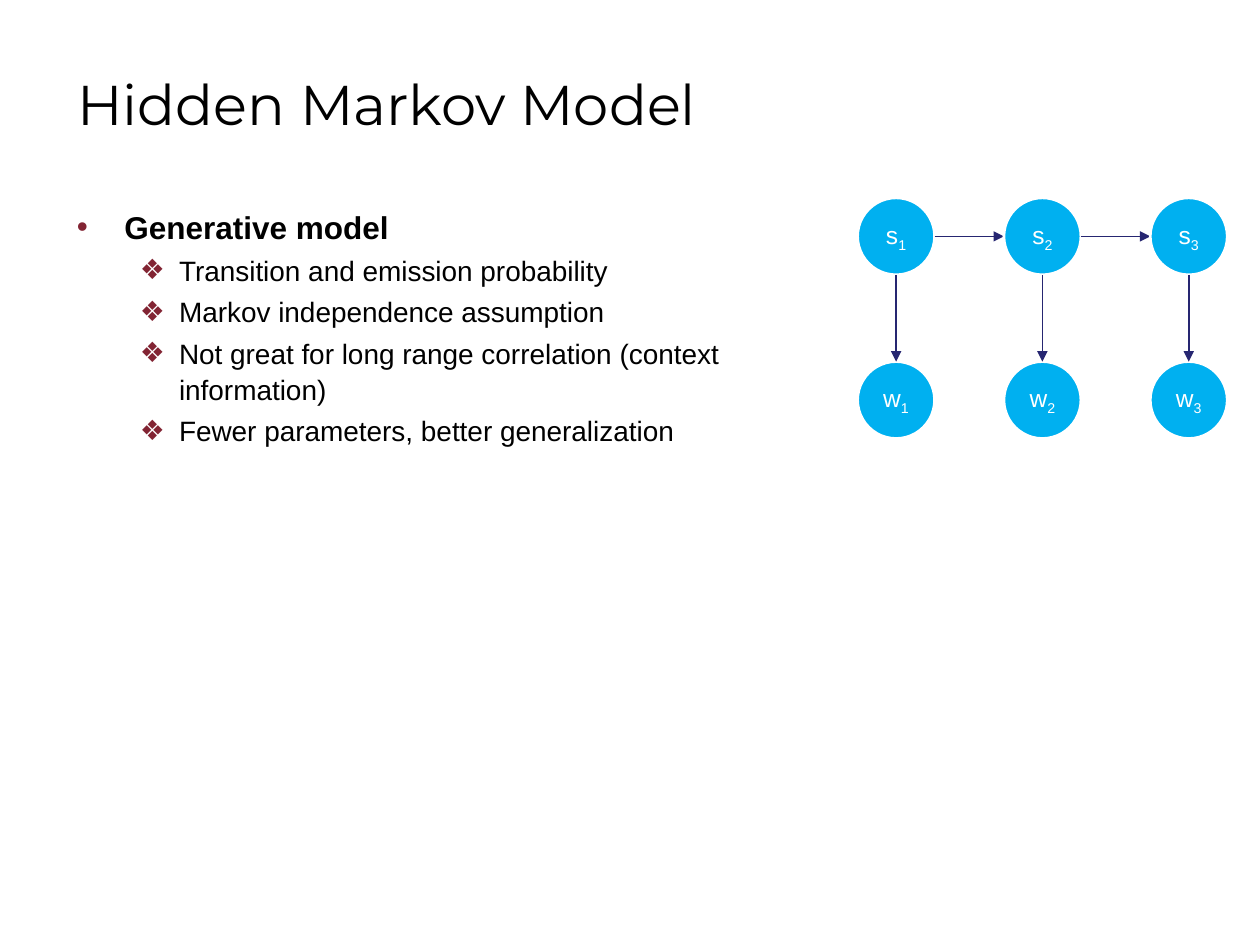
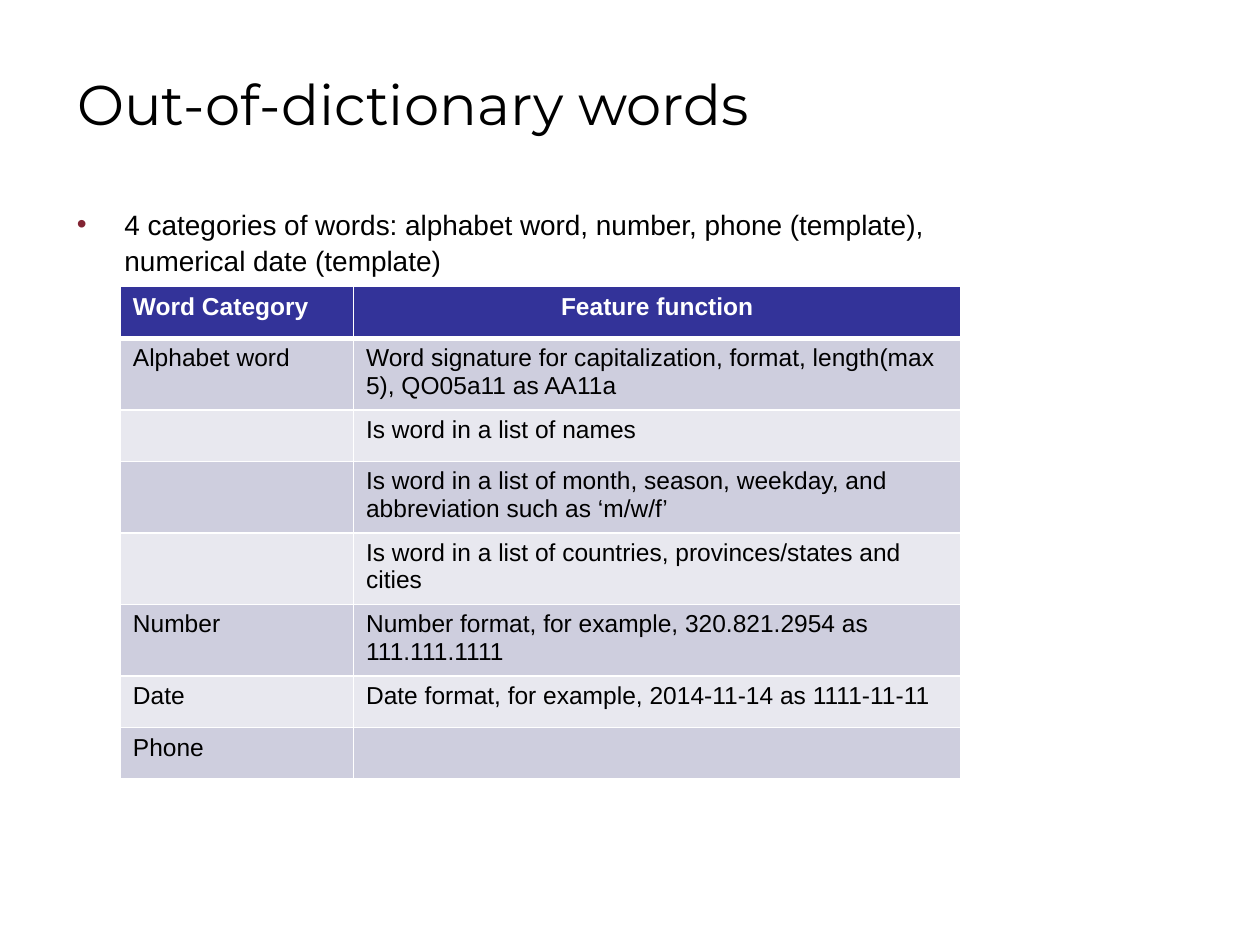
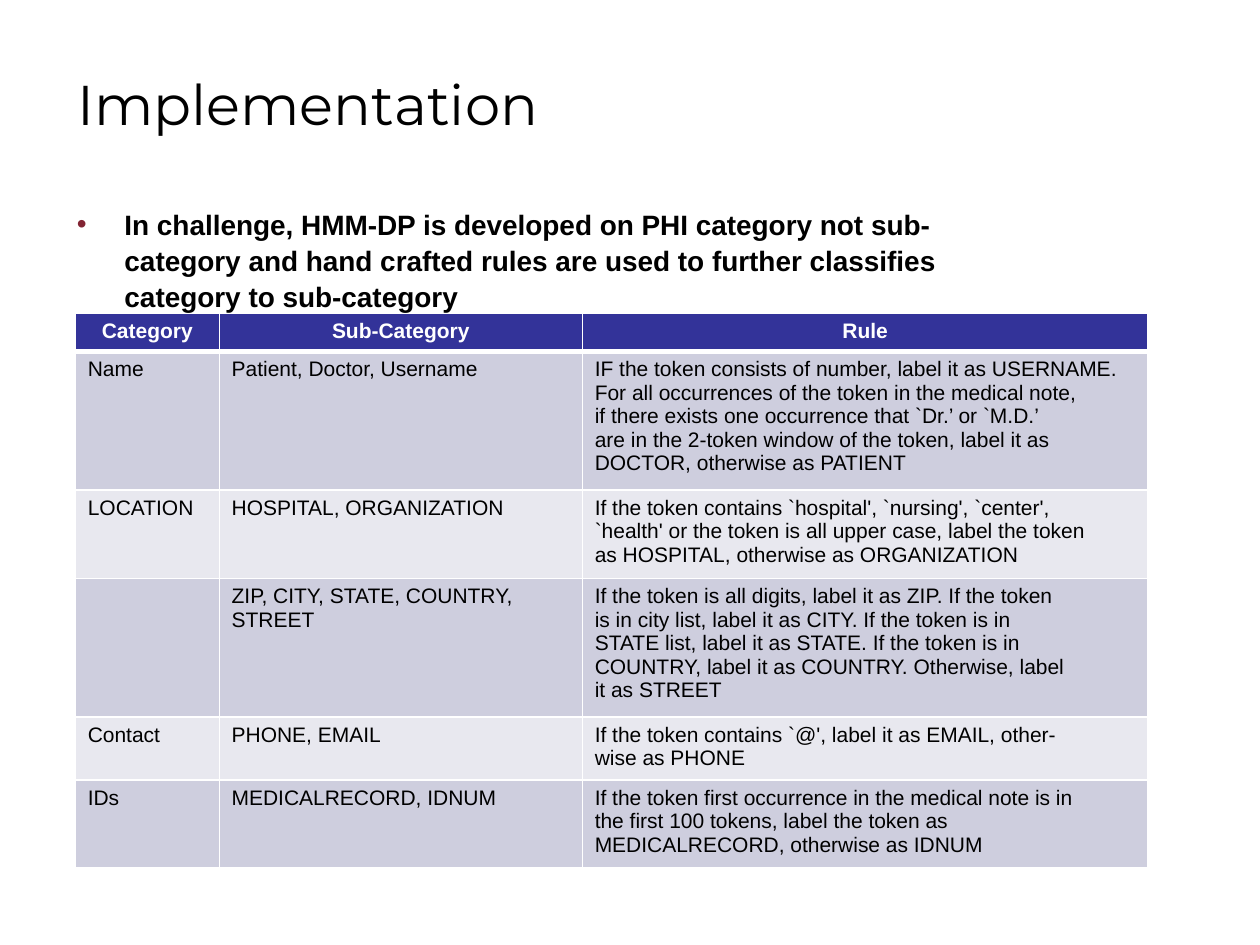
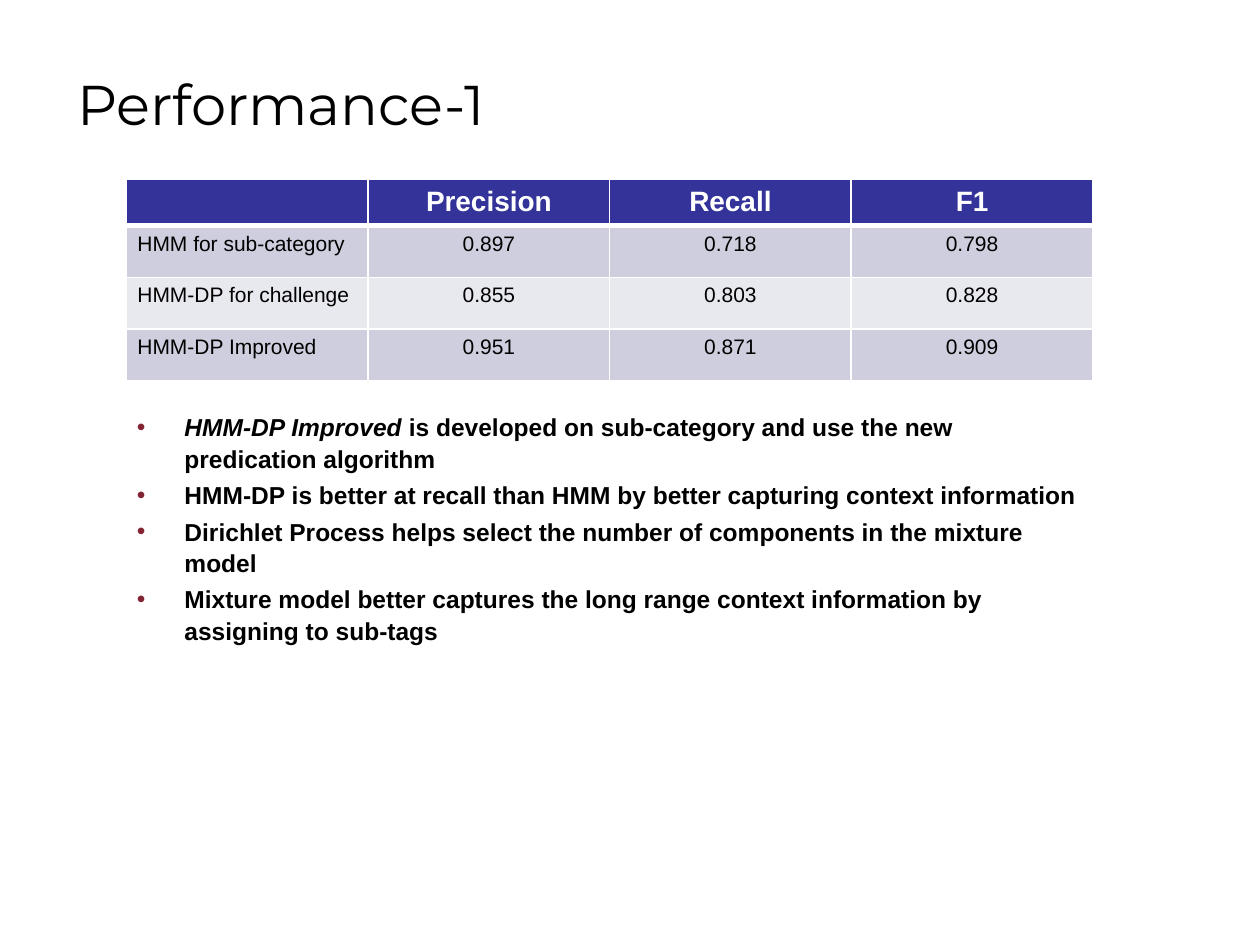
"""Build four slides on tagging medical notes with a hidden Markov model."""
from lxml.etree import SubElement
from pptx import Presentation
from pptx.dml.color import RGBColor
from pptx.enum.shapes import MSO_CONNECTOR, MSO_SHAPE
from pptx.enum.text import MSO_ANCHOR, MSO_AUTO_SIZE, PP_ALIGN
from pptx.oxml.ns import qn
from pptx.util import Cm, Pt

COLORS = {
    "text": "000000", "white": "FFFFFF", "bullet": "822433", "header": "333399",
    "odd": "CECEDE", "even": "E8E8EF", "node": "00B0F0", "arrow": "262671",
}
BODY_FONT, TITLE_FONT = "Arial", "Montserrat"
ALIGNMENTS = {"l": PP_ALIGN.LEFT, "c": PP_ALIGN.CENTER}
BULLETS = {"•": (0, 0.96, 0.96), "❖": (1, 2.06, 0.79)}

SLIDES = [
    {
        "title": "Hidden Markov Model",
        "body": {
            "at": (1.3, 4.01, 15.34, 12.24),
            "points": [
                ("•", 18, True, ["Generative model"]),
                ("❖", 16, False, ["Transition and emission probability"]),
                ("❖", 16, False, ["Markov independence assumption"]),
                ("❖", 16, False, ["Not great for long range correlation (context information)"]),
                ("❖", 16, False, ["Fewer parameters, better generalization"]),
            ],
        },
        "chain": {"states": "s", "words": "w", "steps": 3},
    },
    {
        "title": "Out-of-dictionary words",
        "body": {
            "at": (1.3, 4.01, 19.48, 12.34),
            "points": [("•", 16, False, [
                "4 categories of words: alphabet word, number, phone (template), "
                "numerical date (template)"])],
        },
        "table": {
            "at": (2.43, 5.78), "widths": (4.7, 12.24), "header_height": 1.04,
            "sizes": (14, 14), "aligns": ("lc", "ll"), "margin": 0.25,
            "rows": [
                ("Word Category", "Feature function"),
                ("Alphabet word", "Word signature for capitalization, format, length(max 5), "
                                  "QO05a11 as AA11a"),
                ("", "Is word in a list of names"),
                ("", "Is word in a list of month, season, weekday, and abbreviation "
                     "such as ‘m/w/f’"),
                ("", "Is word in a list of countries, provinces/states and cities"),
                ("Number", "Number format, for example, 320.821.2954 as 111.111.1111"),
                ("Date", "Date format, for example, 2014-11-14 as 1111-11-11"),
                ("Phone", ""),
            ],
        },
    },
    {
        "title": "Implementation",
        "body": {
            "at": (1.3, 4.01, 19.48, 12.12),
            "points": [("•", 16, True, [
                "In challenge, HMM-DP is developed on PHI category not sub-category and hand "
                "crafted rules are used to further classifies category to sub-category"])],
        },
        "table": {
            "at": (1.52, 6.32), "widths": (2.9, 7.32, 11.4), "header_height": 0.76,
            "sizes": (12, 12), "aligns": ("ccc", "lll"), "margin": 0.25,
            "rows": [
                ("Category", "Sub-Category", "Rule"),
                ("Name", "Patient, Doctor, Username",
                 "IF the token consists of number, label it as USERNAME.\n"
                 "For all occurrences of the token in the medical note,\n"
                 "if there exists one occurrence that `Dr.’ or `M.D.’\n"
                 "are in the 2-token window of the token, label it as\n"
                 "DOCTOR, otherwise as PATIENT"),
                ("LOCATION", "HOSPITAL, ORGANIZATION",
                 "If the token contains `hospital', `nursing', `center',\n"
                 "`health' or the token is all upper case, label the token\n"
                 "as HOSPITAL, otherwise as ORGANIZATION"),
                ("", "ZIP, CITY, STATE, COUNTRY, STREET",
                 "If the token is all digits, label it as ZIP. If the token\n"
                 "is in city list, label it as CITY. If the token is in\n"
                 "STATE list, label it as STATE. If the token is in\n"
                 "COUNTRY, label it as COUNTRY. Otherwise, label\n"
                 "it as STREET"),
                ("Contact", "PHONE, EMAIL",
                 "If the token contains `@', label it as EMAIL, other-\n"
                 "wise as PHONE"),
                ("IDs", "MEDICALRECORD, IDNUM",
                 "If the token first occurrence in the medical note is in\n"
                 "the first 100 tokens, label the token as MEDICALRECORD, otherwise as IDNUM"),
            ],
        },
    },
    {
        "title": "Performance-1",
        "body": {
            "at": (2.51, 8.15, 19.48, 7.01),
            "points": [
                ("•", 14, True, ["*HMM-DP Improved ", "is developed on sub-category and use "
                                 "the new predication algorithm"]),
                ("•", 14, True, ["HMM-DP is better at recall than HMM by better capturing "
                                 "context information"]),
                ("•", 14, True, ["Dirichlet Process helps select the number of components "
                                 "in the mixture model"]),
                ("•", 14, True, ["Mixture model better captures the long range context "
                                 "information by assigning to sub-tags"]),
            ],
        },
        "table": {
            "at": (2.55, 3.62), "widths": (4.87,) * 4, "header_height": 0.84,
            "sizes": (16, 12), "aligns": ("cccc", "lccc"), "margin": 0.22,
            "rows": [
                ("", "Precision", "Recall", "F1"),
                ("HMM for sub-category", "0.897", "0.718", "0.798"),
                ("HMM-DP for challenge", "0.855", "0.803", "0.828"),
                ("HMM-DP Improved", "0.951", "0.871", "0.909"),
            ],
        },
    },
]


def rgb(name):
    return RGBColor.from_string(COLORS[name])


def style(run, size, color="text", bold=False, face=BODY_FONT):
    run.font.size, run.font.bold, run.font.name = Pt(size), bold, face
    run.font.color.rgb = rgb(color)


def add_title(slide, wording):
    title = slide.shapes.title
    title.left, title.top, title.width, title.height = map(Cm, (1.3, 1.02, 19.46, 2.13))
    frame = title.text_frame
    frame.text = wording
    frame.auto_size, frame.vertical_anchor = MSO_AUTO_SIZE.NONE, MSO_ANCHOR.MIDDLE
    frame.paragraphs[0].alignment = PP_ALIGN.LEFT
    style(frame.paragraphs[0].runs[0], 32, face=TITLE_FONT)


def set_bullet(paragraph, glyph):
    level, margin, hanging = BULLETS[glyph]
    paragraph.level = level
    properties = paragraph._p.get_or_add_pPr()
    properties.set("marL", str(Cm(margin)))
    properties.set("indent", str(-Cm(hanging)))
    tint = SubElement(properties, qn("a:buClr"))
    SubElement(tint, qn("a:srgbClr"), val=COLORS["bullet"])
    SubElement(properties, qn("a:buFont"), typeface=BODY_FONT)
    SubElement(properties, qn("a:buChar"), char=glyph)


def add_body(slide, at, points):
    frame = slide.shapes.add_textbox(*map(Cm, at)).text_frame
    frame.word_wrap = True
    for index, (glyph, size, bold, pieces) in enumerate(points):
        paragraph = frame.add_paragraph() if index else frame.paragraphs[0]
        paragraph.line_spacing, paragraph.space_before = 1.07, Pt(size * 0.2)
        set_bullet(paragraph, glyph)
        for piece in pieces:
            run = paragraph.add_run()
            run.text = piece.lstrip("*")
            style(run, size, bold=bold)
            run.font.italic = piece.startswith("*")


def set_borders(cell, row):
    widths = {"lnL": 1, "lnR": 1, "lnT": 3 if row == 1 else 1, "lnB": 3 if row == 0 else 1}
    properties = cell._tc.get_or_add_tcPr()
    for side, width in widths.items():
        border = SubElement(properties, qn(f"a:{side}"), w=str(Pt(width)))
        paint = SubElement(border, qn("a:solidFill"))
        SubElement(paint, qn("a:srgbClr"), val=COLORS["white"])


def fill_cell(cell, wording, row, size, alignment, margin):
    set_borders(cell, row)
    cell.fill.solid()
    cell.fill.fore_color.rgb = rgb("header" if row == 0 else "odd" if row % 2 else "even")
    cell.margin_left = cell.margin_right = Cm(margin)
    cell.text_frame.text = wording
    for paragraph in cell.text_frame.paragraphs:
        paragraph.alignment = alignment
        for run in paragraph.runs:
            style(run, size, "text" if row else "white", bold=row == 0)
        if not wording:
            SubElement(paragraph._p, qn("a:endParaRPr"), sz=str(size * 100))


def add_grid(slide, at, widths, header_height, sizes, aligns, margin, rows):
    heights = [header_height] + [1.04] * (len(rows) - 1)
    table = slide.shapes.add_table(len(rows), len(widths), *map(
        Cm, (*at, sum(widths), sum(heights)))).table
    for column, width in zip(table.columns, widths):
        column.width = Cm(width)
    for row, (wordings, height) in enumerate(zip(rows, heights)):
        table.rows[row].height = Cm(height)
        part = min(row, 1)
        for column, wording in enumerate(wordings):
            fill_cell(table.cell(row, column), wording, row, sizes[part],
                      ALIGNMENTS[aligns[part][column]], margin)


def add_node(slide, left, top, diameter, letter, step):
    node = slide.shapes.add_shape(MSO_SHAPE.OVAL, *map(Cm, (left, top, diameter, diameter)))
    node.shadow.inherit = False
    node.fill.solid()
    node.fill.fore_color.rgb = rgb("node")
    node.line.color.rgb, node.line.width = rgb("white"), Pt(1.5)
    frame = node.text_frame
    frame.margin_left = frame.margin_right = frame.margin_top = frame.margin_bottom = 0
    frame.vertical_anchor = MSO_ANCHOR.MIDDLE
    paragraph = frame.paragraphs[0]
    paragraph.alignment = PP_ALIGN.CENTER
    for wording in (letter, str(step)):
        run = paragraph.add_run()
        run.text = wording
        style(run, 14, "white")
    run.font._element.set("baseline", "-25000")


def add_arrow(slide, *ends):
    arrow = slide.shapes.add_connector(MSO_CONNECTOR.STRAIGHT, *map(Cm, ends))
    arrow.line.color.rgb, arrow.line.width = rgb("arrow"), Pt(1)
    SubElement(arrow.line._get_or_add_ln(), qn("a:tailEnd"), type="triangle")
    SubElement(arrow._element.spPr, qn("a:effectLst"))


def add_chain(slide, states, words, steps):
    first_left, pitch, diameter = 17.29, 2.95, 1.55
    state_top, word_top = 3.99, 7.29
    radius = diameter / 2
    for step in range(steps):
        left = first_left + step * pitch
        add_node(slide, left, state_top, diameter, states, step + 1)
        add_node(slide, left, word_top, diameter, words, step + 1)
        add_arrow(slide, left + radius, state_top + diameter, left + radius, word_top)
        if step < steps - 1:
            middle = state_top + radius
            add_arrow(slide, left + diameter, middle, left + pitch, middle)


def main():
    deck = Presentation()
    deck.slide_width, deck.slide_height = Cm(25.4), Cm(19.05)
    builders = {"body": add_body, "table": add_grid, "chain": add_chain}
    for content in SLIDES:
        slide = deck.slides.add_slide(deck.slide_layouts[5])
        add_title(slide, content["title"])
        for part, build in builders.items():
            if part in content:
                build(slide, **content[part])
    deck.save("out.pptx")


if __name__ == "__main__":
    main()
